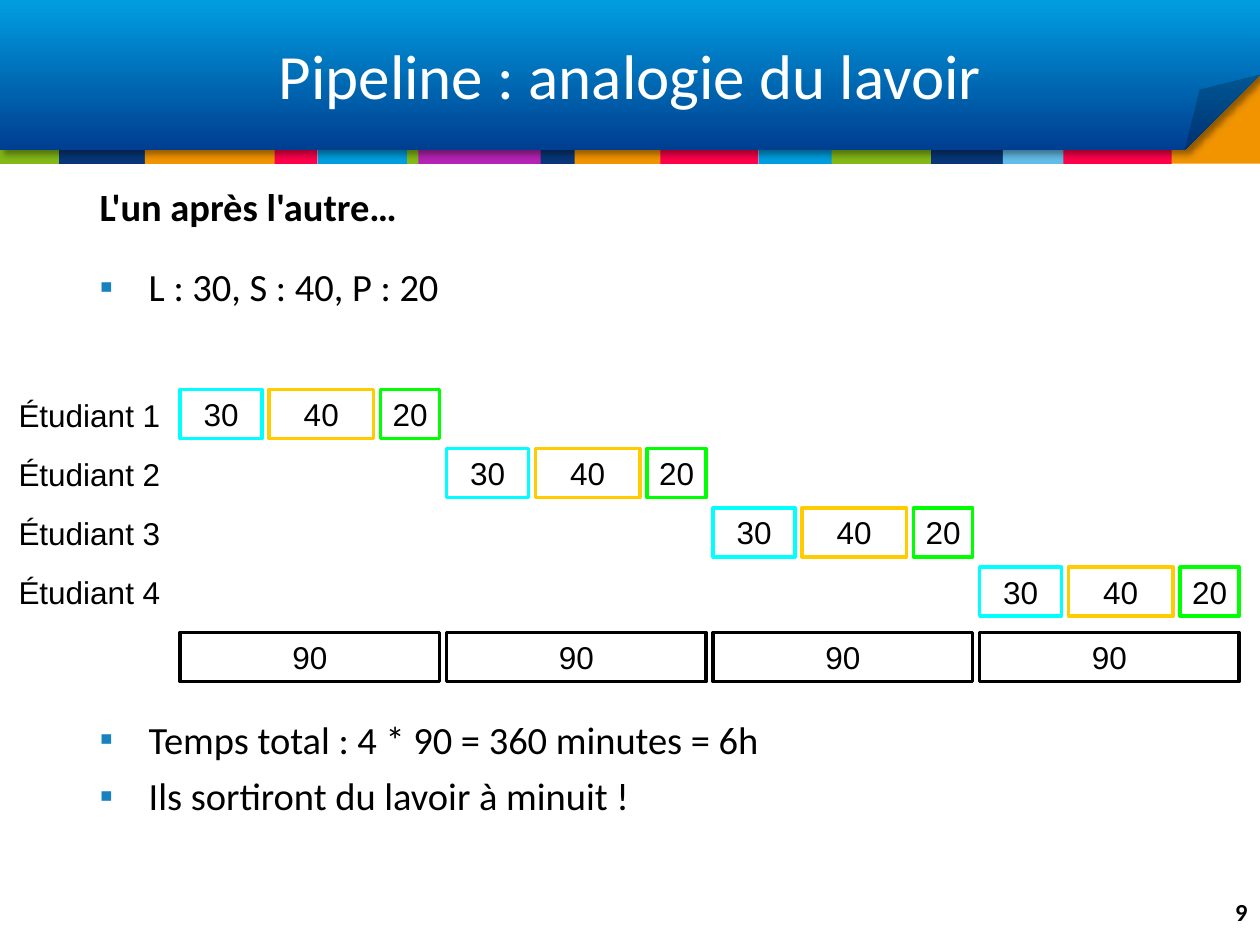
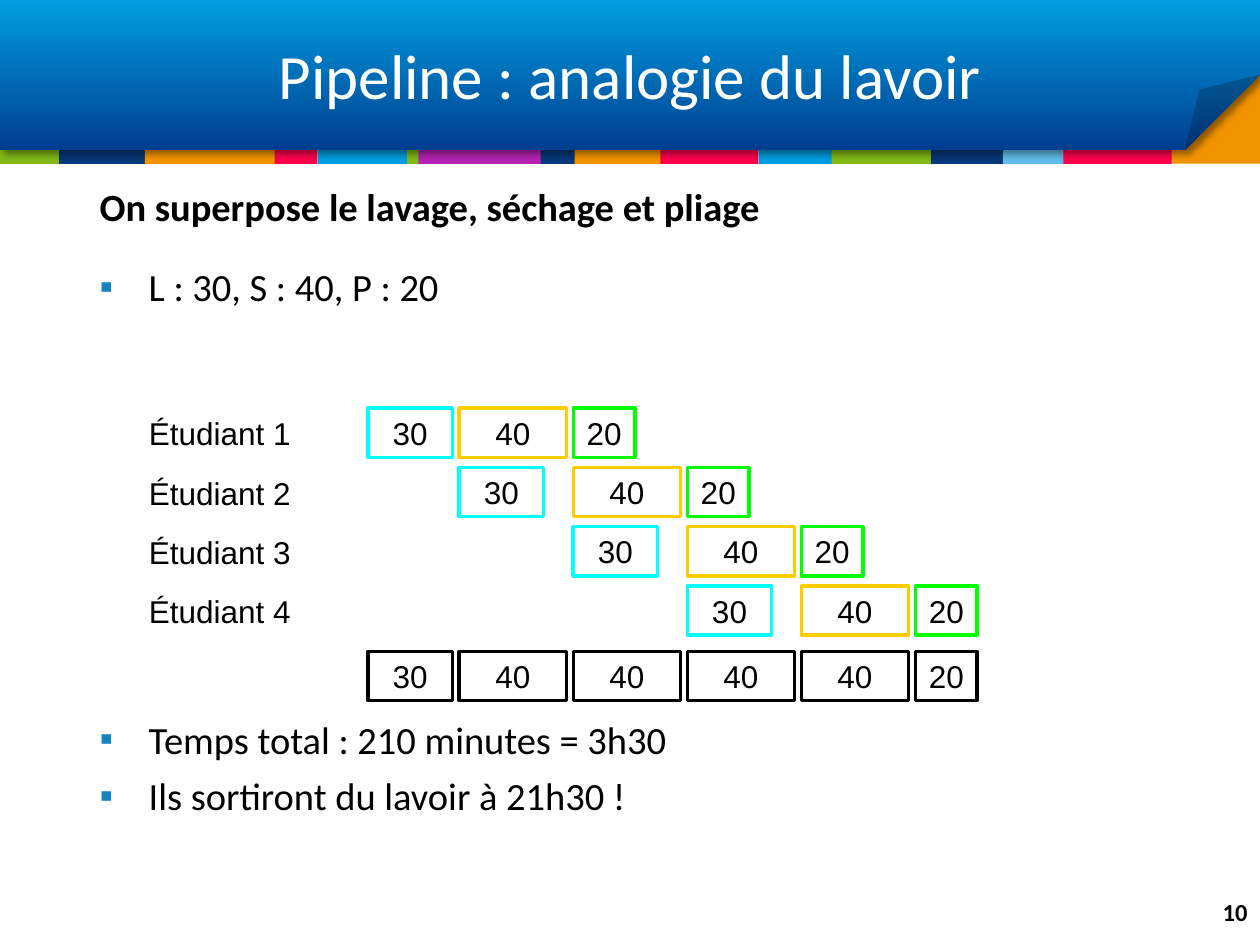
from dataclasses import dataclass

from lxml.etree import SubElement
from pptx import Presentation
from pptx.dml.color import RGBColor
from pptx.enum.shapes import MSO_SHAPE as Shape
from pptx.enum.text import MSO_ANCHOR as Anchor, MSO_AUTO_SIZE as AutoSize, PP_ALIGN as Align
from pptx.oxml.ns import qn
from pptx.util import Inches, Pt

BLACK = RGBColor(0x00, 0x00, 0x00)
WHITE = RGBColor(0xFF, 0xFF, 0xFF)
LIME = RGBColor(0x83, 0xB8, 0x18)
ORANGE = RGBColor(0xF2, 0x94, 0x00)
NAVY = RGBColor(0x07, 0x37, 0x79)
RED = RGBColor(0xFF, 0x01, 0x4B)
SKY = RGBColor(0x00, 0x9E, 0xE0)
PALE = RGBColor(0x62, 0xBC, 0xE9)
PURPLE = RGBColor(0xB5, 0x23, 0xB4)
DEEP = RGBColor(0x00, 0x3E, 0x90)
BULLET = RGBColor(0x17, 0x82, 0xBF)
CYAN = RGBColor(0x00, 0xFF, 0xFF)
YELLOW = RGBColor(0xFF, 0xCC, 0x00)
GREEN = RGBColor(0x00, 0xFF, 0x00)

TITLE = "Pipeline : analogie du lavoir"
DURATIONS = "L : 30, S : 40, P : 20"
STAGES = ((30, CYAN), (40, YELLOW), (20, GREEN))
STUDENTS = 4
GAP = Inches(0.11) // 2
ROW_STEP = Inches(0.47)
TOTAL_DROP = Inches(1.93)
BOX_HEIGHT = Inches(0.39)
CHART_GAP = Pt(232)


@dataclass(frozen=True)
class Strip:
    """A coloured piece of the band under the header."""
    left: float
    width: float
    color: RGBColor
    top: float = 0.81
    height: float = 0.49


@dataclass(frozen=True)
class Schedule:
    """Laundry timetable: time columns, columns between students, columns per total."""
    left: float
    top: float
    columns: tuple[int, ...]
    stride: int
    span: int
    widths: dict[int, float]
    label_left: float
    label_width: float


@dataclass(frozen=True)
class Page:
    """Content of one slide."""
    number: int
    heading: str
    conclusions: tuple[str, ...]
    schedule: Schedule


STRIPS = (
    Strip(2.97, 0.51, LIME), Strip(9.21, 0.79, ORANGE, 0.47, 0.83),
    Strip(0, 0.51, LIME), Strip(0.47, 0.69, NAVY), Strip(1.15, 1.1, ORANGE),
    Strip(2.18, 0.34, RED), Strip(2.52, 0.71, SKY), Strip(3.32, 1.01, PURPLE),
    Strip(4.29, 0.28, NAVY), Strip(4.56, 0.71, ORANGE), Strip(5.24, 0.78, RED),
    Strip(6.02, 0.61, SKY), Strip(6.6, 0.91, LIME), Strip(7.39, 0.58, NAVY),
    Strip(7.96, 0.5, PALE), Strip(8.44, 0.86, RED),
)

PLACEHOLDERS = {
    0: (0.69, 0.25, 8.62, 0.75),
    1: (0.69, 1.4, 8.62, 0.55),
    2: (0.69, 2.04, 8.62, 5.27),
}

PAGES = (
    Page(9, "L'un après l'autre…",
         ("Temps total : 4 * 90 = 360 minutes = 6h", "Ils sortiront du lavoir à minuit !"),
         Schedule(1.43, 3.09, (30, 40, 20) * STUDENTS, 3, 3,
                  {30: 0.65, 40: 0.83, 20: 0.47}, 0.04, 1.34)),
    Page(10, "On superpose le lavage, séchage et pliage",
         ("Temps total : 210 minutes = 3h30", "Ils sortiront du lavoir à 21h30 !"),
         Schedule(2.92, 3.24, (30, 40, 40, 40, 40, 20), 1, 1,
                  {30: 0.67, 40: 0.85, 20: 0.49}, 0.69, 2.11)),
)


def add_run(p, text: str, size: int, color: RGBColor = BLACK,
            font: str = "Calibri", bold: bool = False) -> None:
    """Append a formatted run to a paragraph."""
    r = p.add_run()
    r.text = text
    r.font.size = Pt(size)
    r.font.name = font
    r.font.bold = bold
    r.font.color.rgb = color


def add_plain(shapes, kind: Shape, left: int, top: int, width: int, height: int):
    """Add a preset shape without shadow."""
    s = shapes.add_shape(kind, left, top, width, height)
    s.shadow.inherit = False
    return s


def add_header(slide) -> list:
    """Draw the band and the folded header, back to front."""
    parts = []
    for strip in STRIPS:
        s = add_plain(slide.shapes, Shape.RECTANGLE, Inches(strip.left), Inches(strip.top),
                      Inches(strip.width), Inches(strip.height))
        s.fill.solid()
        s.fill.fore_color.rgb = strip.color
        parts.append(s)
    header = add_plain(slide.shapes, Shape.FOLDED_CORNER, 0, 0, Inches(10), Inches(1.19))
    guides = header.element.spPr.find(qn("a:prstGeom")).get_or_add_avLst()
    SubElement(guides, qn("a:gd"), name="adj", fmla="val 50000")
    header.fill.gradient()
    header.fill.gradient_angle = 270
    for stop, color in zip(header.fill.gradient_stops, (SKY, DEEP)):
        stop.color.rgb = color
    effects = header.element.spPr.find(qn("a:effectLst"))
    shadow = SubElement(effects, qn("a:outerShdw"), blurRad=str(Pt(4)), dist=str(Pt(3)),
                        dir="2700000", algn="tl", rotWithShape="0")
    black = SubElement(shadow, qn("a:srgbClr"), val=str(BLACK))
    SubElement(black, qn("a:alpha"), val="40000")
    parts.append(header)
    for s in parts:
        s.line.fill.background()
    return parts


def prepare_layout(layout, slide) -> None:
    """Place the layout's placeholders and move the header behind them."""
    for idx, box in PLACEHOLDERS.items():
        s = layout.placeholders.get(idx)
        s.left, s.top, s.width, s.height = map(Inches, box)
    tree = layout.shapes.element
    for i, s in enumerate(add_header(slide)):
        s.element.find(qn("p:nvSpPr")).find(qn("p:cNvPr")).set("id", str(100 + i))
        tree.insert(2 + i, s.element)


def set_bullet(p, char: str = "") -> None:
    """Give a paragraph a hanging bullet, or none."""
    pPr = p._p.get_or_add_pPr()
    indent = Inches(0.39) if char else 0
    pPr.set("marL", str(indent))
    pPr.set("indent", str(-indent))
    if not char:
        SubElement(pPr, qn("a:buNone"))
        return
    color = SubElement(pPr, qn("a:buClr"))
    SubElement(color, qn("a:srgbClr"), val=str(BULLET))
    SubElement(pPr, qn("a:buFont"), typeface="Arial")
    SubElement(pPr, qn("a:buChar"), char=char)


def fill_placeholders(slide, page: Page) -> None:
    """Write the title, the heading and the list."""
    title, heading, body = (slide.placeholders[i].text_frame for i in PLACEHOLDERS)
    for tf, anchor in ((title, Anchor.MIDDLE), (heading, Anchor.TOP), (body, Anchor.TOP)):
        tf.auto_size = AutoSize.NONE
        tf.vertical_anchor = anchor
    p = title.paragraphs[0]
    p.alignment = Align.CENTER
    p.line_spacing = 0.9
    add_run(p, TITLE, 36, WHITE)
    p = heading.paragraphs[0]
    p.space_before = Pt(0)
    set_bullet(p)
    add_run(p, page.heading, 22, bold=True)
    for i, text in enumerate((DURATIONS, *page.conclusions)):
        p = body.add_paragraph() if i else body.paragraphs[0]
        p.space_before = CHART_GAP if i == 1 else Pt(6)
        set_bullet(p, "▪")
        add_run(p, text, 22)


def add_duration(slide, left: int, top: int, width: int, minutes: int, color: RGBColor) -> None:
    """Draw one outlined box holding a duration."""
    s = add_plain(slide.shapes, Shape.RECTANGLE, left, top, width, BOX_HEIGHT)
    s.fill.background()
    s.line.color.rgb = color
    s.line.width = Pt(2)
    tf = s.text_frame
    tf.word_wrap = False
    tf.vertical_anchor = Anchor.MIDDLE
    p = tf.paragraphs[0]
    p.alignment = Align.CENTER
    add_run(p, str(minutes), 18, font="Arial")


def add_text(slide, left: int, top: int, width: int, text: str, align: Align,
             size: int, font: str, bold: bool = False) -> None:
    """Add a one-line text box."""
    tf = slide.shapes.add_textbox(left, top, width, Inches(0.4)).text_frame
    tf.word_wrap = True
    p = tf.paragraphs[0]
    p.alignment = align
    add_run(p, text, size, font=font, bold=bold)


def add_schedule(slide, plan: Schedule) -> None:
    """Draw each student's stages, then the totals below."""
    widths = [Inches(plan.widths[m]) for m in plan.columns]
    lefts = [Inches(plan.left) + sum(widths[:i]) + i * GAP for i in range(len(widths))]
    top = Inches(plan.top)
    for row in range(STUDENTS):
        y = top + row * ROW_STEP
        add_text(slide, Inches(plan.label_left), y, Inches(plan.label_width),
                 f"Étudiant {row + 1}", Align.CENTER, 18, "Arial")
        for col, (minutes, color) in enumerate(STAGES, row * plan.stride):
            add_duration(slide, lefts[col], y, Inches(plan.widths[minutes]), minutes, color)
    for first in range(0, len(widths), plan.span):
        last = first + plan.span - 1
        add_duration(slide, lefts[first], top + TOTAL_DROP,
                     lefts[last] + widths[last] - lefts[first],
                     sum(plan.columns[first:last + 1]), BLACK)


def main() -> None:
    """Build the two slides."""
    prs = Presentation()
    prs.slide_width, prs.slide_height = Inches(10), Inches(7.5)
    layout = prs.slide_layouts.get_by_name("Two Content")
    slides = [prs.slides.add_slide(layout) for _ in PAGES]
    prepare_layout(layout, slides[0])
    for slide, page in zip(slides, PAGES):
        fill_placeholders(slide, page)
        add_schedule(slide, page.schedule)
        add_text(slide, Inches(9.31), Inches(7.07), Inches(0.69), str(page.number),
                 Align.RIGHT, 14, "Calibri", bold=True)
    prs.save("out.pptx")


if __name__ == "__main__":
    main()
